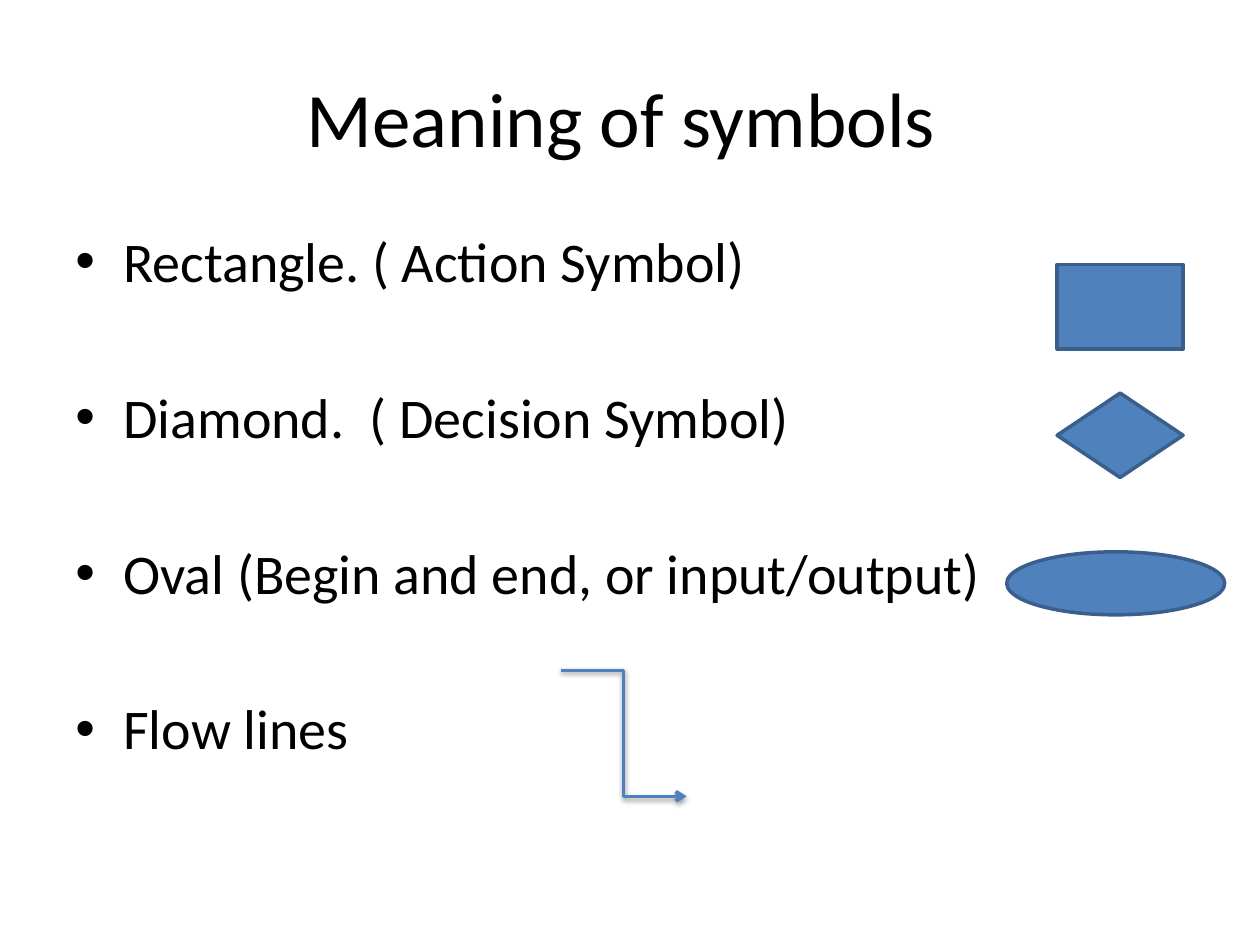
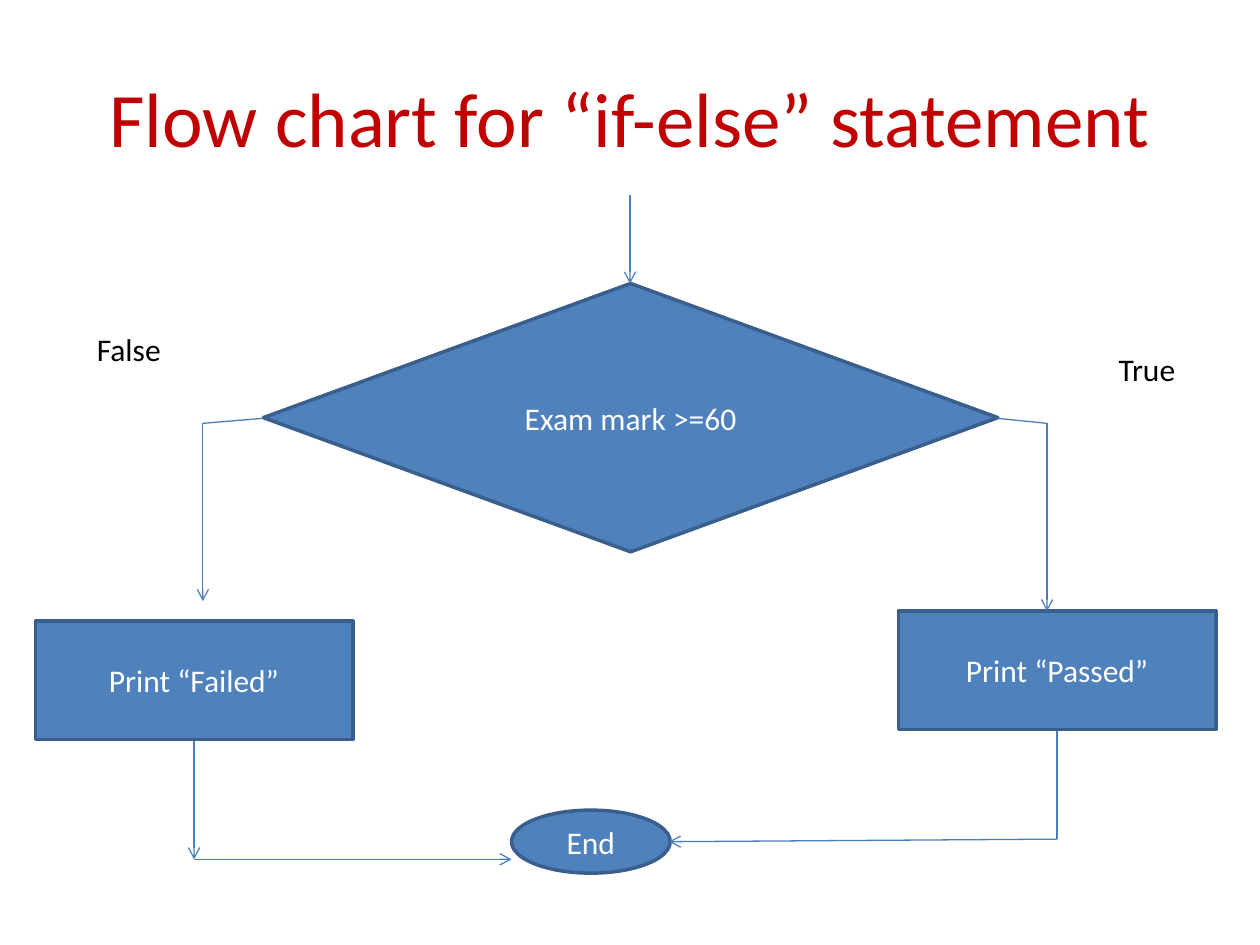
from dataclasses import dataclass

from lxml import etree
from pptx import Presentation
from pptx.dml.color import RGBColor
from pptx.enum import shapes, text
from pptx.oxml import ns
from pptx.util import Inches, Pt

COLORS = {
    "black": "000000",
    "white": "FFFFFF",
    "red": "C00000",
    "fill": "4F81BD",
    "outline": "3A5F8C",
    "flow": "4B7EBC",
}
FONT = "Calibri"
BULLET_INDENT = 0.38

PROCESS = shapes.MSO_SHAPE.FLOWCHART_PROCESS
DECISION = shapes.MSO_SHAPE.FLOWCHART_DECISION
TERMINAL = shapes.MSO_SHAPE.FLOWCHART_CONNECTOR
STRAIGHT = shapes.MSO_CONNECTOR.STRAIGHT
ELBOW = shapes.MSO_CONNECTOR.ELBOW


@dataclass(frozen=True)
class Symbol:
    kind: shapes.MSO_SHAPE
    left: float
    top: float
    width: float
    height: float
    label: str = ""


@dataclass(frozen=True)
class Flow:
    start: tuple[float, float]
    end: tuple[float, float]
    arrow: bool = True
    kind: shapes.MSO_CONNECTOR = STRAIGHT
    color: str = "flow"
    width: float = 0.75
    shadow: bool = False


@dataclass(frozen=True)
class Label:
    text: str
    left: float
    top: float
    width: float


MEANINGS = [
    "Rectangle. ( Action Symbol)",
    "Diamond.  ( Decision Symbol)",
    "Oval (Begin and end, or input/output)",
    "Flow lines",
]
LEGEND_SYMBOLS = [
    Symbol(DECISION, 8.39, 3.12, 1, 0.67),
    Symbol(TERMINAL, 7.99, 4.38, 1.73, 0.5),
    Symbol(PROCESS, 8.39, 2.1, 1, 0.67),
]
LEGEND_FLOW = Flow((4.45, 5.32), (5.45, 6.32), kind=ELBOW, color="fill", width=2, shadow=True)

CHART_SYMBOLS = [
    Symbol(PROCESS, 0.28, 4.93, 2.52, 0.94, "Print “Failed”"),
    Symbol(PROCESS, 7.13, 4.85, 2.52, 0.94, "Print “Passed”"),
    Symbol(TERMINAL, 4.06, 6.43, 1.26, 0.5, "End"),
    Symbol(DECISION, 2.09, 2.25, 5.83, 2.13, "Exam mark >=60"),
]
BRANCH_LABELS = [Label("True", 8.78, 2.73, 0.66), Label("False", 0.67, 2.57, 0.71)]

TRUE_TURN, FALSE_TURN = (8.31, 3.36), (1.61, 3.36)
PASSED_TURN, FAILED_TURN = (8.39, 6.66), (1.54, 6.82)
CHART_FLOWS = [
    Flow((7.91, 3.32), TRUE_TURN, arrow=False),
    Flow(TRUE_TURN, (8.31, 4.85)),
    Flow(FALSE_TURN, (1.61, 4.77)),
    Flow((1.54, 5.88), FAILED_TURN),
    Flow(FAILED_TURN, (4.06, 6.82)),
    Flow((8.39, 5.8), PASSED_TURN, arrow=False),
    Flow(PASSED_TURN, (5.31, 6.68)),
    Flow((2.09, 3.32), FALSE_TURN, arrow=False),
    Flow((5, 1.55), (5, 2.25)),
]


def rgb(name: str) -> RGBColor:
    return RGBColor.from_string(COLORS[name])


def write(p, words: str, size: float, color: str) -> None:
    r = p.add_run()
    r.text = words
    for name, value in {"name": FONT, "size": Pt(size)}.items():
        setattr(r.font, name, value)
    r.font.color.rgb = rgb(color)


def add_titled_slide(prs, title: str, color: str):
    s = prs.slides.add_slide(prs.slide_layouts[5])
    sp = s.shapes.title
    box = {"left": 0.5, "top": 0.3, "width": 9, "height": 1.25}
    for name, value in box.items():
        setattr(sp, name, Inches(value))
    tf = sp.text_frame
    tf.vertical_anchor = text.MSO_ANCHOR.MIDDLE
    p = tf.paragraphs[0]
    p.alignment = text.PP_ALIGN.CENTER
    write(p, title, 44, color)
    return s


def add_bullets(s, items: list[str]) -> None:
    box = s.shapes.add_textbox(Inches(0.5), Inches(1.75), Inches(9.3), Inches(4.95))
    tf = box.text_frame
    tf.word_wrap = True
    for i, item in enumerate(items):
        p = tf.add_paragraph() if i else tf.paragraphs[0]
        p.space_before = Pt(50.6 if i else 0)
        pPr = p._p.get_or_add_pPr()
        pPr.set("marL", str(Inches(BULLET_INDENT)))
        pPr.set("indent", str(-Inches(BULLET_INDENT)))
        etree.SubElement(pPr, ns.qn("a:buFont")).set("typeface", "Arial")
        etree.SubElement(pPr, ns.qn("a:buChar")).set("char", "•")
        write(p, item, 32, "black")


def add_symbol(s, symbol: Symbol) -> None:
    box = (symbol.left, symbol.top, symbol.width, symbol.height)
    sp = s.shapes.add_shape(symbol.kind, *map(Inches, box))
    sp.shadow.inherit = False
    sp.fill.solid()
    sp.fill.fore_color.rgb = rgb("fill")
    sp.line.color.rgb = rgb("outline")
    sp.line.width = Pt(2)
    if symbol.label:
        tf = sp.text_frame
        tf.vertical_anchor = text.MSO_ANCHOR.MIDDLE
        p = tf.paragraphs[0]
        p.alignment = text.PP_ALIGN.CENTER
        write(p, symbol.label, 18, "white")


def add_flow(s, flow: Flow) -> None:
    """Draw a flow line; its shadow, if wanted, comes from the theme."""
    line = s.shapes.add_connector(flow.kind, *map(Inches, flow.start + flow.end))
    line.line.color.rgb = rgb(flow.color)
    line.line.width = Pt(flow.width)
    if flow.arrow:
        ln = line._element.spPr.find(ns.qn("a:ln"))
        etree.SubElement(ln, ns.qn("a:tailEnd")).set("type", "arrow")
    if not flow.shadow:
        etree.SubElement(line._element.spPr, ns.qn("a:effectLst"))


def add_label(s, label: Label) -> None:
    box = (label.left, label.top, label.width, 0.4)
    tf = s.shapes.add_textbox(*map(Inches, box)).text_frame
    tf.word_wrap = False
    tf.auto_size = text.MSO_AUTO_SIZE.SHAPE_TO_FIT_TEXT
    write(tf.paragraphs[0], label.text, 18, "black")


def build_legend(prs) -> None:
    # The title's closing space shifts the centred line slightly left.
    s = add_titled_slide(prs, "Meaning of symbols ", "black")
    add_bullets(s, MEANINGS)
    for symbol in LEGEND_SYMBOLS:
        add_symbol(s, symbol)
    add_flow(s, LEGEND_FLOW)


def build_flow_chart(prs) -> None:
    s = add_titled_slide(prs, "Flow chart for “if-else” statement", "red")
    for symbol in CHART_SYMBOLS:
        add_symbol(s, symbol)
    for label in BRANCH_LABELS:
        add_label(s, label)
    for flow in CHART_FLOWS:
        add_flow(s, flow)


def main() -> None:
    prs = Presentation()
    prs.slide_width, prs.slide_height = Inches(10), Inches(7.5)
    build_legend(prs)
    build_flow_chart(prs)
    prs.save("out.pptx")


if __name__ == "__main__":
    main()
